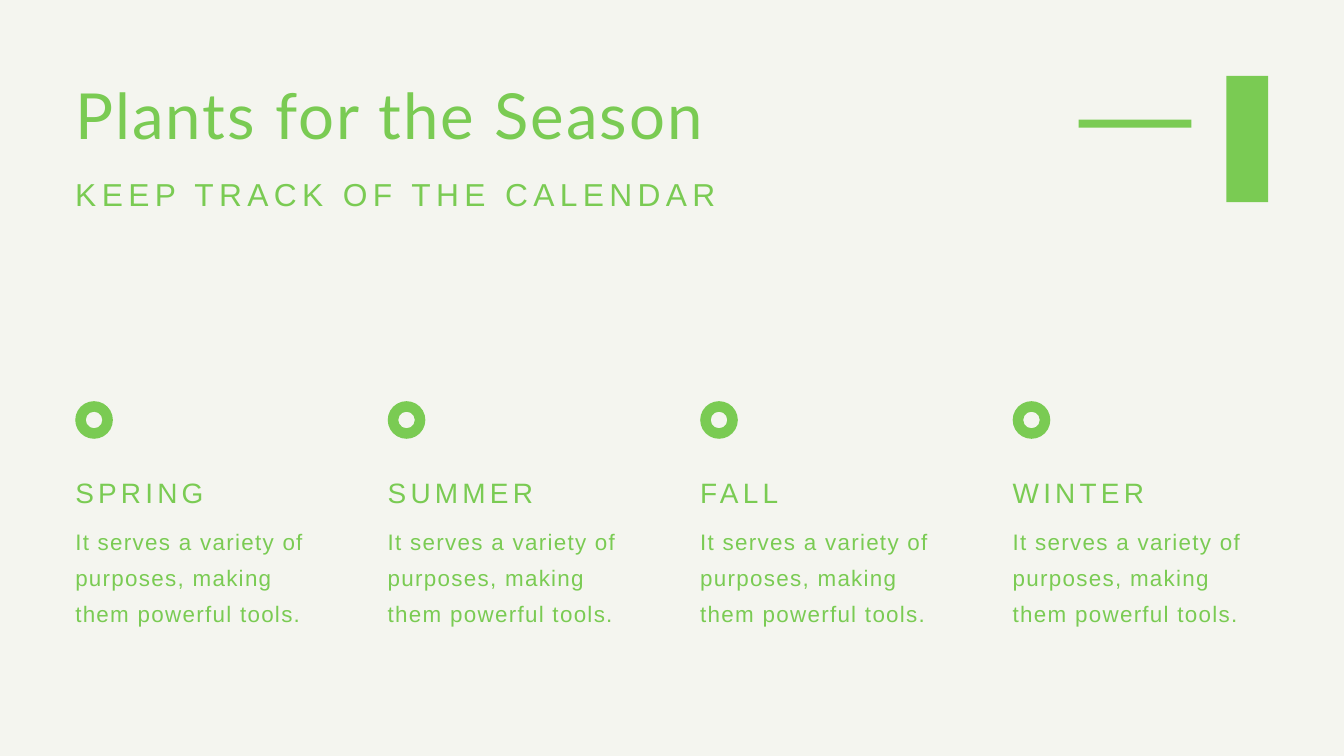
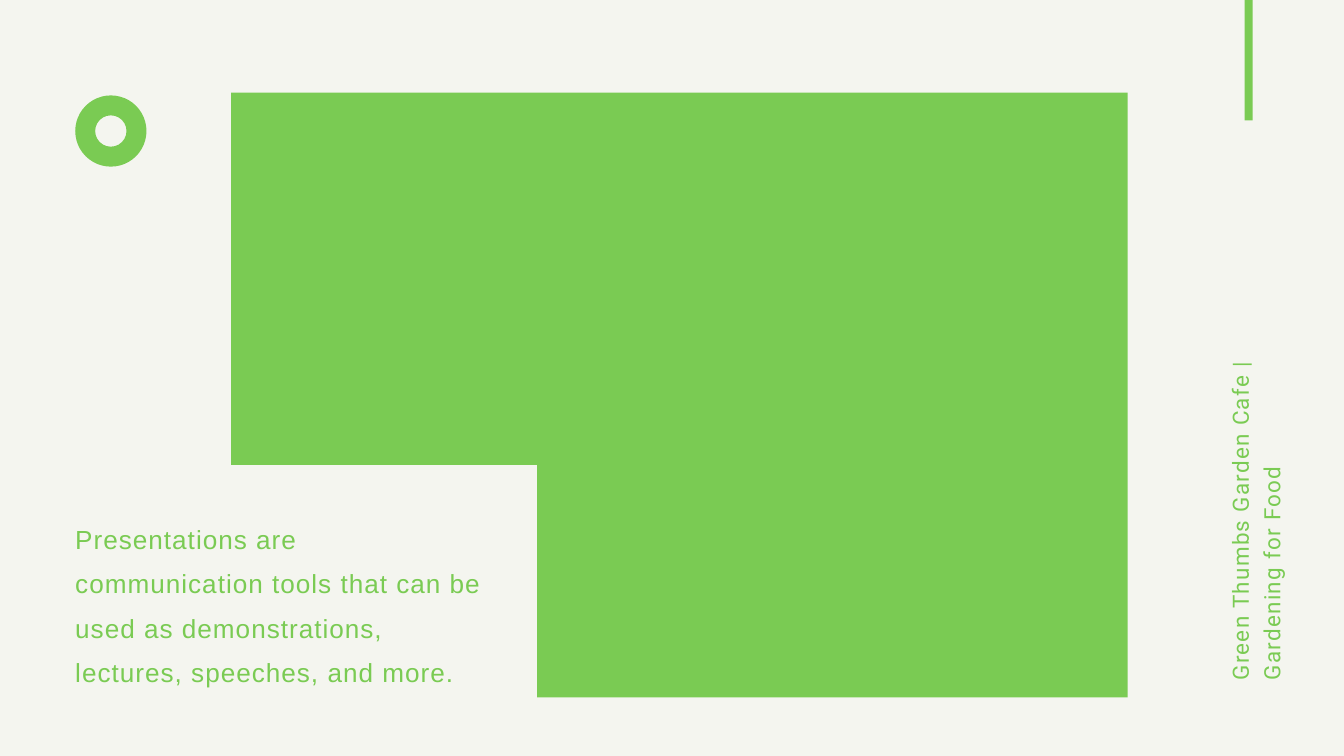
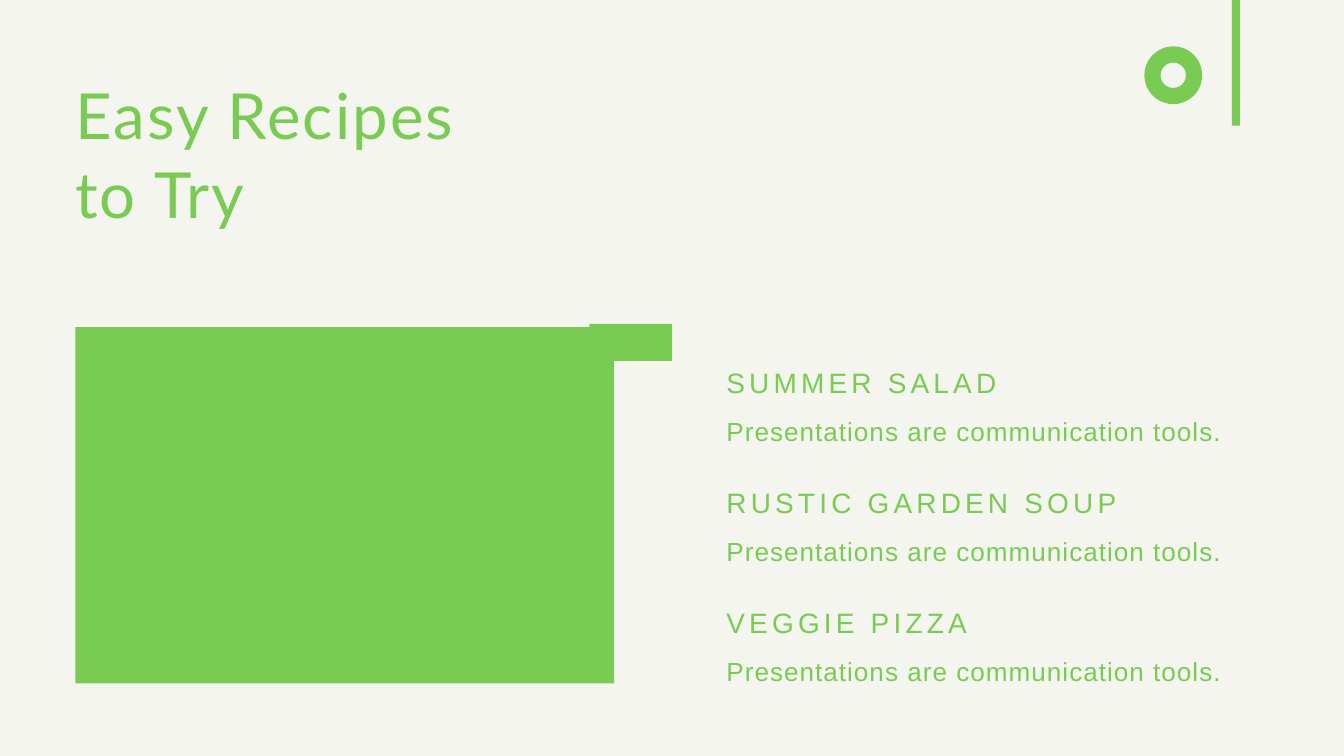
from dataclasses import dataclass

from pptx import Presentation
from pptx.dml.color import RGBColor
from pptx.enum.shapes import MSO_SHAPE
from pptx.enum.text import MSO_ANCHOR, MSO_AUTO_SIZE, PP_ALIGN
from pptx.presentation import Presentation as Deck
from pptx.shapes.autoshape import Shape
from pptx.slide import Slide
from pptx.util import Inches, Pt

# Shared look
COLORS = {"leaf": "7ACB53", "paper": "F4F5EF"}
SLIDE_WIDTH, SLIDE_HEIGHT = 20, 11.25
MARGIN = 1.12
BAR_THICKNESS = 0.12
RING_RATIO = 0.28
TITLE_ONLY, BLANK = 5, 6


@dataclass(frozen=True)
class TextStyle:
    font: str
    size: float
    line_spacing: float
    tracking: float


@dataclass(frozen=True)
class Box:
    left: float
    top: float
    width: float
    height: float

    def lengths(self) -> tuple[Inches, Inches, Inches, Inches]:
        return (Inches(self.left), Inches(self.top),
                Inches(self.width), Inches(self.height))


@dataclass(frozen=True)
class Entry:
    heading: str
    body: str


TITLE = TextStyle("Lato", 68, 85, 2.2)
SUBTITLE = TextStyle("Arial", 34, 47.6, 5.8)
HEADING = TextStyle("Arial", 30, 48, 4.5)
BODY = TextStyle("Arial", 28, 47.6, 1.1)
SMALL_BODY = TextStyle("Arial", 24, 38.4, 1.4)
SIDE_LABEL = TextStyle("Roboto", 24, 33.6, 1.4)

SEASON_TEXT = "It serves a variety of purposes, making them powerful tools."
SEASONS = [Entry(name, SEASON_TEXT)
           for name in ("SPRING", "SUMMER", "FALL", "WINTER")]
RECIPE_TEXT = "Presentations are communication tools."
RECIPES = [Entry(name, RECIPE_TEXT)
           for name in ("SUMMER SALAD", "RUSTIC GARDEN SOUP", "VEGGIE PIZZA")]


# Drawing functions
def write(shape: Shape, lines: list[str], style: TextStyle) -> None:
    frame = shape.text_frame
    frame.word_wrap = True
    frame.auto_size = MSO_AUTO_SIZE.SHAPE_TO_FIT_TEXT
    frame.vertical_anchor = MSO_ANCHOR.TOP
    frame.margin_left = frame.margin_right = 0
    frame.margin_top = frame.margin_bottom = 0
    for index, line in enumerate(lines):
        paragraph = frame.add_paragraph() if index else frame.paragraphs[0]
        paragraph.alignment = PP_ALIGN.LEFT
        paragraph.line_spacing = Pt(style.line_spacing)
        run = paragraph.add_run()
        run.text = line
        run.font.name = style.font
        run.font.size = Pt(style.size)
        run.font.color.rgb = RGBColor.from_string(COLORS["leaf"])
        # Letter spacing is stored in hundredths of a point
        run._r.get_or_add_rPr().set("spc", str(round(style.tracking * 100)))


def add_text(slide: Slide, box: Box, text: str, style: TextStyle) -> Shape:
    text_box = slide.shapes.add_textbox(*box.lengths())
    write(text_box, [text], style)
    return text_box


def set_title(slide: Slide, box: Box, lines: list[str]) -> None:
    title = slide.shapes.title
    title.left, title.top, title.width, title.height = box.lengths()
    write(title, lines, TITLE)


def add_block(slide: Slide, box: Box, color: str = "leaf",
              kind: MSO_SHAPE = MSO_SHAPE.RECTANGLE) -> Shape:
    block = slide.shapes.add_shape(kind, *box.lengths())
    block.shadow.inherit = False
    block.fill.solid()
    block.fill.fore_color.rgb = RGBColor.from_string(COLORS[color])
    block.line.fill.background()
    return block


def add_ring(slide: Slide, left: float, top: float, size: float) -> None:
    ring = add_block(slide, Box(left, top, size, size), kind=MSO_SHAPE.DONUT)
    ring.adjustments[0] = RING_RATIO


def add_hanging_bar(slide: Slide, left: float, length: float) -> None:
    add_block(slide, Box(left, 0, BAR_THICKNESS, length))


# Slides
def build_seasons(deck: Deck) -> None:
    slide = deck.slides.add_slide(deck.slide_layouts[TITLE_ONLY])
    set_title(slide, Box(MARGIN, 1.09, 11.44, 1.16), ["Plants for the Season"])
    add_text(slide, Box(MARGIN, 2.51, 11.44, 0.61),
             "KEEP TRACK OF THE CALENDAR", SUBTITLE)
    add_block(slide, Box(16.05, 1.78, 1.68, BAR_THICKNESS))
    add_block(slide, Box(18.25, 1.13, 0.62, 1.88))

    column_pitch, column_width = 4.65, 3.81
    for column, season in enumerate(SEASONS):
        left = MARGIN + column * column_pitch
        add_ring(slide, left, 5.97, 0.56)
        add_text(slide, Box(left, 6.91, column_width, 0.59),
                 season.heading, HEADING)
        add_text(slide, Box(left, 7.73, column_width, 1.52),
                 season.body, SMALL_BODY)


def build_cafe(deck: Deck) -> None:
    slide = deck.slides.add_slide(deck.slide_layouts[BLANK])
    add_block(slide, Box(3.44, 1.38, 13.34, 9))
    cafe_label = add_text(slide, Box(15.94, 6.99, 5.38, 0.89),
                          "Green Thumbs Garden Cafe | Gardening for Food",
                          SIDE_LABEL)
    cafe_label.rotation = 270

    # Paper-coloured corner that carries the introduction
    corner_top = 6.92
    add_block(slide, Box(0, corner_top, 7.99, SLIDE_HEIGHT - corner_top),
              "paper")
    add_text(slide, Box(MARGIN, 7.59, 6.06, 2.54),
             "Presentations are communication tools that can be used as "
             "demonstrations, lectures, speeches, and more.", BODY)
    add_ring(slide, MARGIN, 1.42, 1.06)
    add_hanging_bar(slide, 18.52, 1.79)


def build_recipes(deck: Deck) -> None:
    slide = deck.slides.add_slide(deck.slide_layouts[TITLE_ONLY])
    set_title(slide, Box(MARGIN, 1.08, 11.45, 2.34),
              ["Easy Recipes", "to Try"])

    recipe_left, recipe_width, recipe_pitch = 10.81, 8.6, 1.79
    for row, recipe in enumerate(RECIPES):
        top = 5.27 + row * recipe_pitch
        add_text(slide, Box(recipe_left, top, recipe_width, 0.59),
                 recipe.heading, HEADING)
        add_text(slide, Box(recipe_left, top + 0.71, recipe_width, 0.57),
                 recipe.body, BODY)

    add_block(slide, Box(MARGIN, 4.87, 8.02, 5.3))
    add_hanging_bar(slide, 18.33, 1.87)
    add_ring(slide, 17.03, 0.69, 0.86)
    add_block(slide, Box(8.77, 4.82, 1.23, 0.55))


def main() -> None:
    deck = Presentation()
    deck.slide_width = Inches(SLIDE_WIDTH)
    deck.slide_height = Inches(SLIDE_HEIGHT)
    paper = deck.slide_master.background.fill
    paper.solid()
    paper.fore_color.rgb = RGBColor.from_string(COLORS["paper"])
    build_seasons(deck)
    build_cafe(deck)
    build_recipes(deck)
    deck.save("out.pptx")


if __name__ == "__main__":
    main()
